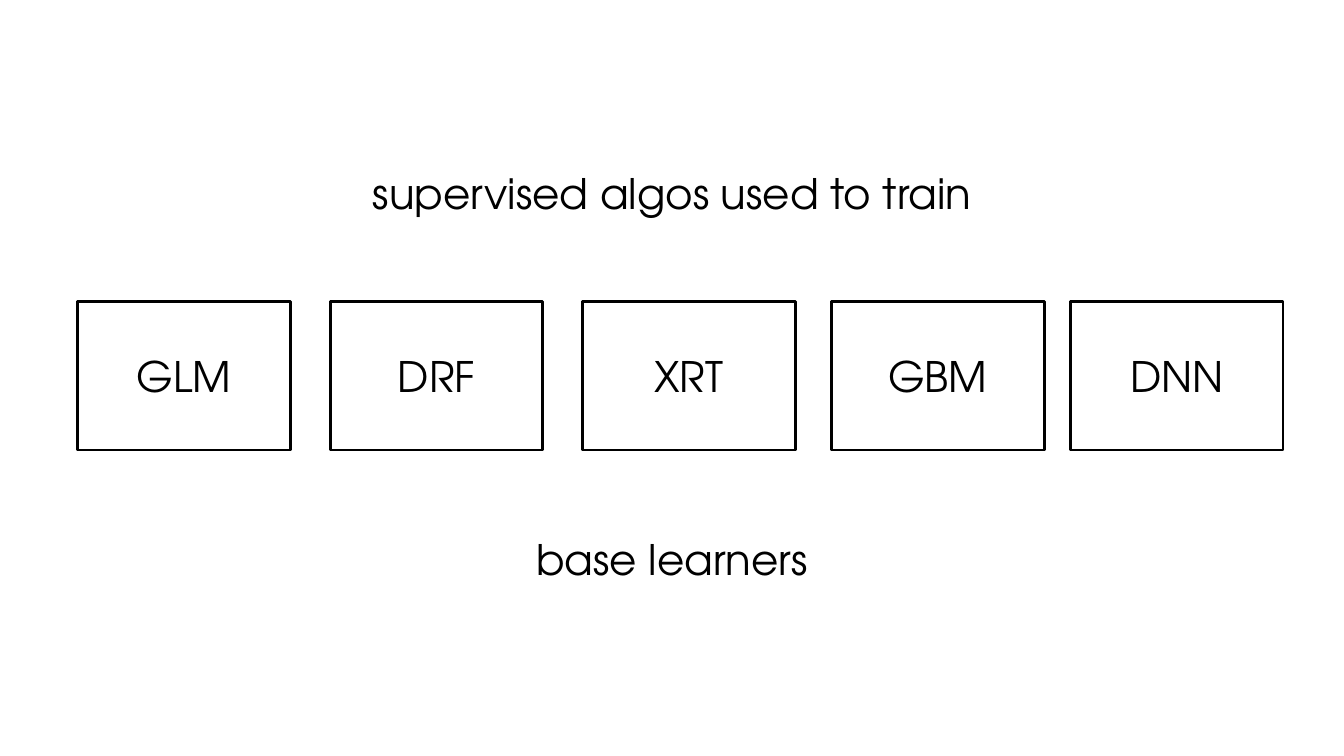
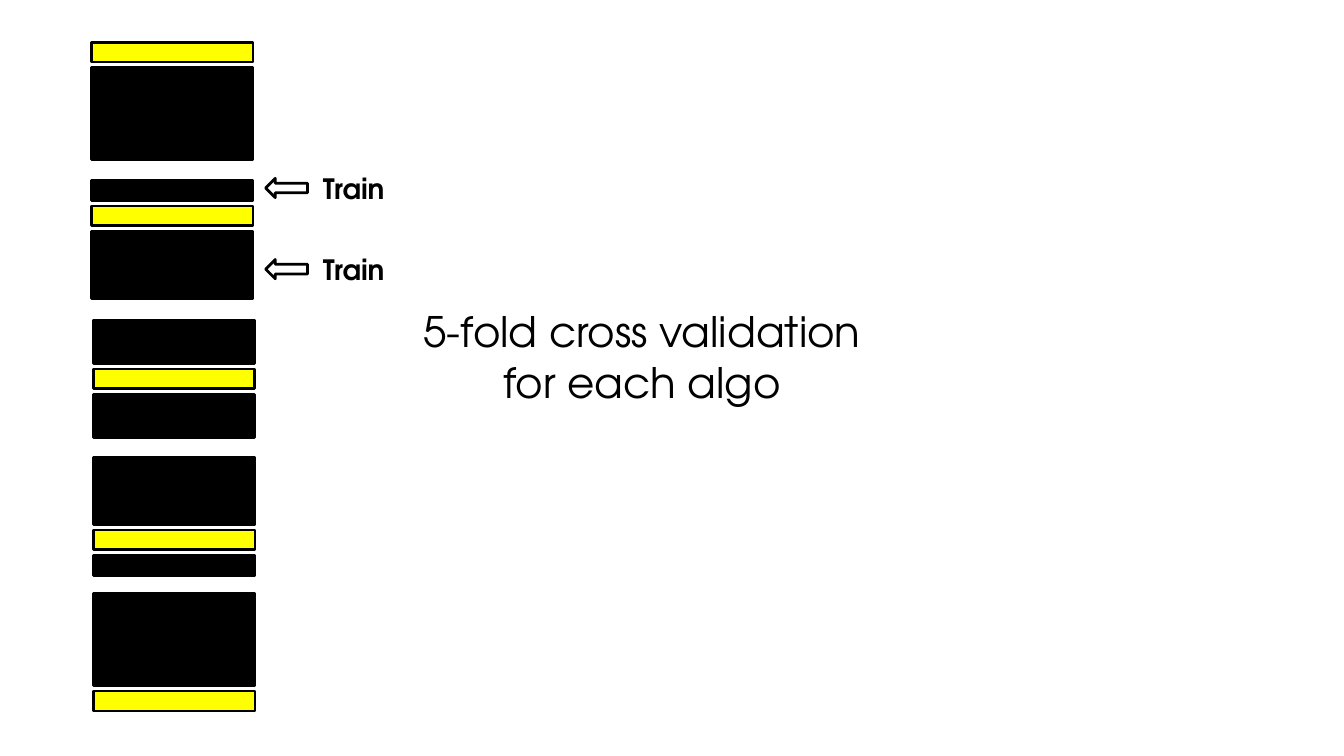
from pptx import Presentation
from pptx.dml.color import RGBColor
from pptx.enum import shapes, text
from pptx.util import Cm, Pt

# Content
HEADING = "supervised algos used to train"
FOOTING = "base learners"
LEARNERS = [("GLM", 3.91), ("DRF", 16.64), ("XRT", 29.36), ("GBM", 41.91), ("DNN", 53.95)]
CAPTION = ["5-fold cross validation", "for each algo"]
TRAIN_LABEL = "Train"
FOLD_STARTS = [(4.62, 2.13), (4.62, 9.09), (4.7, 16.13), (4.72, 23.04), (4.72, 29.92)]
ARROW_TOPS = [8.99, 13.08]

# Shared style
FONT = "TeX Gyre Adventor"
BLACK, YELLOW, WHITE = "000000", "FFFF00", "FFFFFF"
PAGE_WIDTH, PAGE_HEIGHT = 67.74, 38.1
BODY_SIZE, LABEL_SIZE = 60, 40
LINE_WIDTH = 4
INSET = 0.15

# Cross-validation bars: height by number of data blocks
BAR_WIDTH = 8.13
BAR_HEIGHTS = {1: 1.0, 2: 2.18, 3: 3.38, 4: 4.62}
BAR_GAP = 0.29


def color(value):
    return RGBColor.from_string(value)


def write(shape, lines, size=BODY_SIZE, bold=False, align=text.PP_ALIGN.CENTER):
    frame = shape.text_frame
    frame.word_wrap = True
    frame.vertical_anchor = text.MSO_ANCHOR.MIDDLE
    frame.margin_left = frame.margin_right = Cm(INSET)
    frame.margin_top = frame.margin_bottom = Cm(INSET)
    frame.text = "\n".join(lines)
    for para in frame.paragraphs:
        para.alignment = align
        for span in para.runs:
            span.font.name = FONT
            span.font.size = Pt(size)
            span.font.bold = bold
            span.font.color.rgb = color(BLACK)


def add_text(page, left, top, width, height, lines, **style):
    box = page.shapes.add_textbox(Cm(left), Cm(top), Cm(width), Cm(height))
    write(box, lines, **style)


def add_outline(page, kind, left, top, width, height, fill=None):
    shape = page.shapes.add_shape(kind, Cm(left), Cm(top), Cm(width), Cm(height))
    shape.shadow.inherit = False
    if fill:
        shape.fill.solid()
        shape.fill.fore_color.rgb = color(fill)
    else:
        shape.fill.background()
    shape.line.color.rgb = color(BLACK)
    shape.line.width = Pt(LINE_WIDTH)
    return shape


def add_page(deck):
    page = deck.slides.add_slide(deck.slide_layouts[6])
    page.background.fill.solid()
    page.background.fill.fore_color.rgb = color(WHITE)
    return page


def build_learners(deck):
    page = add_page(deck)
    add_text(page, 0, 8.28, PAGE_WIDTH, 2.84, [HEADING])
    for name, left in LEARNERS:
        box = add_outline(page, shapes.MSO_SHAPE.RECTANGLE, left, 15.21, 10.72, 7.47)
        write(box, [name])
    add_text(page, 0, 26.75, PAGE_WIDTH, 2.84, [FOOTING])


def build_folds(deck):
    page = add_page(deck)

    # The held-out block moves down by one in each fold
    for index, (left, top) in enumerate(FOLD_STARTS):
        after = len(FOLD_STARTS) - 1 - index
        for blocks, fill in [(index, BLACK), (1, YELLOW), (after, BLACK)]:
            if blocks:
                height = BAR_HEIGHTS[blocks]
                add_outline(page, shapes.MSO_SHAPE.RECTANGLE, left, top, BAR_WIDTH, height, fill)
                top += height + BAR_GAP

    # Arrows to the training bars of the second fold
    for top in ARROW_TOPS:
        add_outline(page, shapes.MSO_SHAPE.LEFT_ARROW, 13.39, top, 2.11, 0.97)
        add_text(page, 16.13, top - 0.51, 5.31, 2.01, [TRAIN_LABEL],
                 size=LABEL_SIZE, bold=True, align=text.PP_ALIGN.LEFT)

    add_text(page, 20.83, 15.24, 23.06, 5.41, CAPTION)


def main():
    deck = Presentation()
    deck.slide_width, deck.slide_height = Cm(PAGE_WIDTH), Cm(PAGE_HEIGHT)
    build_learners(deck)
    build_folds(deck)
    deck.save("out.pptx")


if __name__ == "__main__":
    main()
